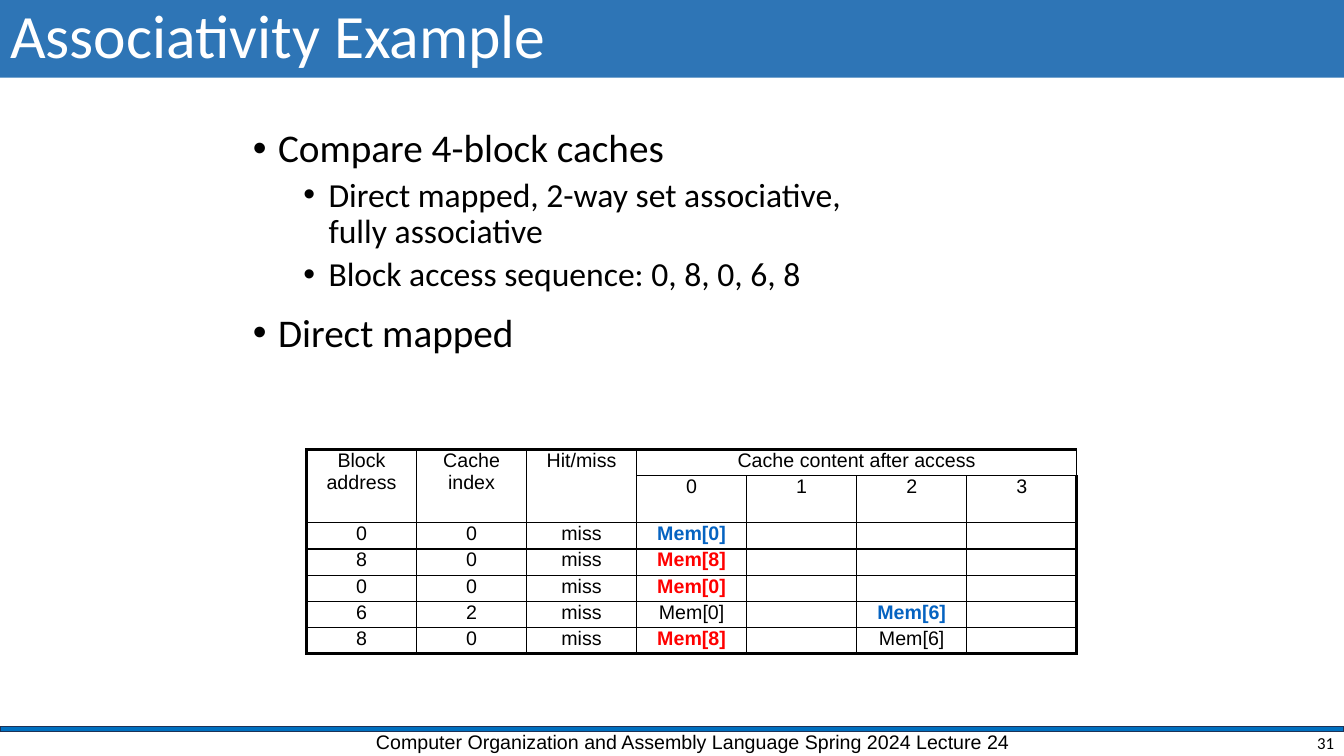
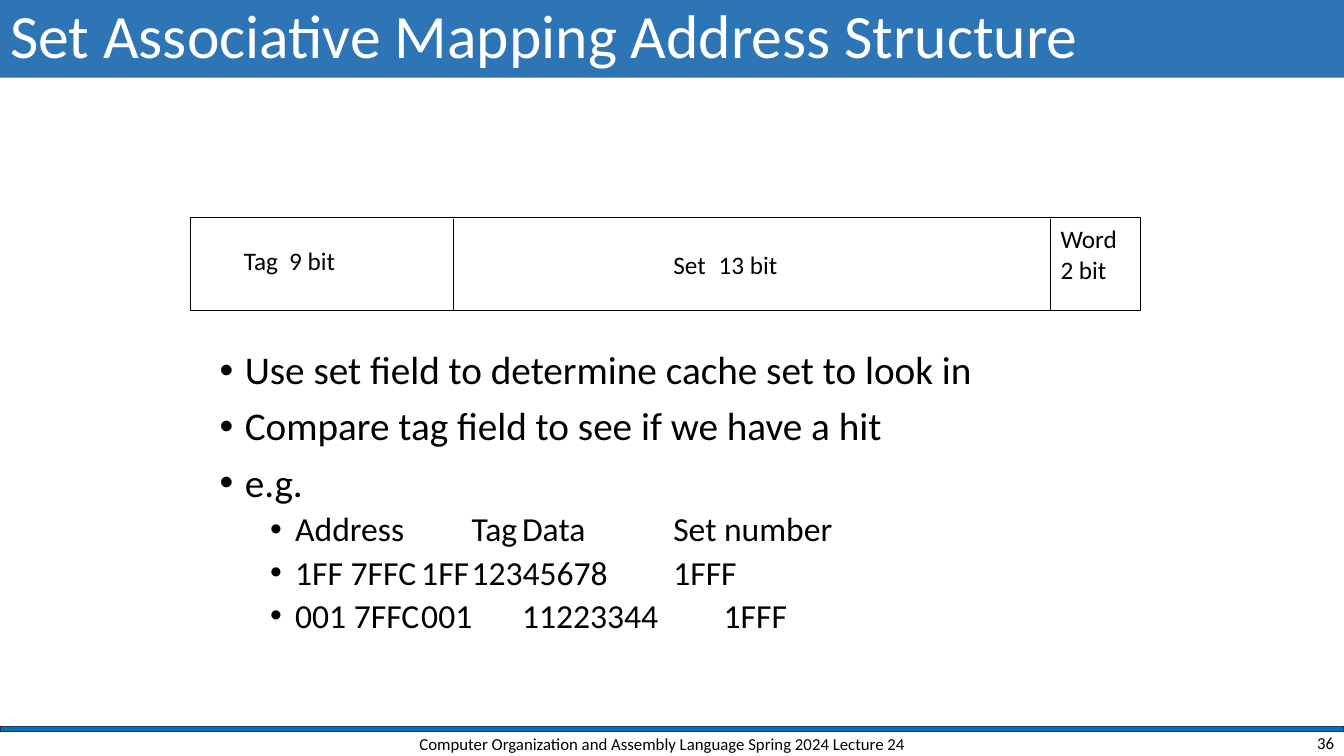
import pptx
import pptx.util
import pptx.dml.color
import pptx.enum.shapes
import pptx.enum.text
import pptx.oxml.ns
from lxml import etree

Inches = pptx.util.Inches
Pt = pptx.util.Pt
RGB = pptx.dml.color.RGBColor
ALIGN = pptx.enum.text.PP_ALIGN
ANCHOR = pptx.enum.text.MSO_ANCHOR
RECT = pptx.enum.shapes.MSO_SHAPE.RECTANGLE
STRAIGHT = pptx.enum.shapes.MSO_CONNECTOR.STRAIGHT

BLACK = RGB(0x00, 0x00, 0x00)
WHITE = RGB(0xFF, 0xFF, 0xFF)
BAND = RGB(0x2E, 0x75, 0xB6)
RULE = RGB(0x00, 0x70, 0xC0)
EDGE = RGB(0x1E, 0x32, 0x56)
BLUE = RGB(0x05, 0x63, 0xC1)
RED = RGB(0xFF, 0x00, 0x00)

WIDE, HIGH = 13.33, 7.5
COURSE = "Computer Organization and Assembly Language Spring 2024 Lecture 24"
LEVELS = [
    {"size": 28, "left": 0.25, "gap": 10},
    {"size": 24, "left": 0.75, "gap": 5},
]

CACHES = [
    (0, "Compare 4-block caches"),
    (1, "Direct mapped, 2-way set associative,\vfully associative"),
    (1, "Block access sequence: 0, 8, 0, 6, 8"),
    (0, "Direct mapped"),
]
HEADS = ["Block address", "Cache index", "Hit/miss"]
SPAN = "Cache content after access"
ROWS = [
    HEADS + [SPAN, "", "", ""],
    ["", "", "", "0", "1", "2", "3"],
    ["0", "0", "miss", "Mem[0]", "", "", ""],
    ["8", "0", "miss", "Mem[8]", "", "", ""],
    ["0", "0", "miss", "Mem[0]", "", "", ""],
    ["6", "2", "miss", "Mem[0]", "", "Mem[6]", ""],
    ["8", "0", "miss", "Mem[8]", "", "Mem[6]", ""],
]
MARKS = {(2, 3): BLUE, (3, 3): RED, (4, 3): RED, (5, 5): BLUE, (6, 3): RED}

LOOKUP = [
    (0, "Use set field to determine cache set to look in"),
    (0, "Compare tag field to see if we have a hit"),
    (0, "e.g."),
    (1, "Address\t\tTag\tData\t\tSet number"),
    (1, "1FF 7FFC\t1FF\t12345678\t\t1FFF"),
    (1, "001 7FFC\t001\t11223344\t\t1FFF"),
]
FIELDS = [
    (2.32, 2.38, 1.4, ["Tag\t9 bit"]),
    (6.58, 2.42, 1.5, ["Set\t13 bit"]),
    (10.42, 2.17, 0.89, ["Word", "2 bit"]),
]
SPLITS = [4.5, 10.42]


def child(node, tag, **attrs):
    return etree.SubElement(node, pptx.oxml.ns.qn(tag), attrs)


def style(para, size, color=BLACK, face="Calibri", bold=False):
    font = para.font
    font.name, font.size, font.bold = face, Pt(size), bold
    font.color.rgb = color


def place(shape, box):
    shape.left, shape.top, shape.width, shape.height = map(Inches, box)


def add_text(slide, box, lines, size, face="Calibri", align=ALIGN.LEFT,
             anchor=ANCHOR.TOP, stop=None):
    frame = slide.shapes.add_textbox(*map(Inches, box)).text_frame
    frame.word_wrap = True
    frame.vertical_anchor = anchor
    for i, line in enumerate(lines):
        para = frame.add_paragraph() if i else frame.paragraphs[0]
        para.text = line
        para.alignment = align
        if stop:
            tabs = child(para._p.get_or_add_pPr(), "a:tabLst")
            child(tabs, "a:tab", pos=str(Inches(stop)), algn="l")
        style(para, size, face=face)


def add_list(slide, box, items, gaps={}):
    frame = slide.shapes.add_textbox(*map(Inches, box)).text_frame
    frame.word_wrap = True
    for i, (depth, text) in enumerate(items):
        level = LEVELS[depth]
        para = frame.add_paragraph() if i else frame.paragraphs[0]
        para.text = text
        para.level = depth
        props = para._p.get_or_add_pPr()
        props.set("marL", str(Inches(level["left"])))
        props.set("indent", str(Inches(-0.25)))
        child(props, "a:buFont", typeface="Arial")
        child(props, "a:buChar", char="•")
        para.line_spacing = 0.9
        para.space_before = Pt(gaps.get(i, level["gap"]) if i else 0)
        style(para, level["size"])


def add_rect(slide, box, fill, line, width):
    shape = slide.shapes.add_shape(RECT, *map(Inches, box))
    shape.shadow.inherit = False
    if fill is None:
        shape.fill.background()
    else:
        shape.fill.solid()
        shape.fill.fore_color.rgb = fill
    shape.line.color.rgb = line
    shape.line.width = Pt(width)


def add_slide(deck, title, number):
    slide = deck.slides.add_slide(deck.slide_layouts[5])
    add_rect(slide, (0, 7.21, WIDE, 0.05), RULE, EDGE, 1)
    head = slide.shapes.title
    place(head, (0, 0, WIDE, 0.77))
    head.fill.solid()
    head.fill.fore_color.rgb = BAND
    frame = head.text_frame
    frame.text = title
    frame.word_wrap = True
    frame.auto_size = pptx.enum.text.MSO_AUTO_SIZE.NONE
    frame.vertical_anchor = ANCHOR.MIDDLE
    para = frame.paragraphs[0]
    para.alignment = ALIGN.LEFT
    para.line_spacing = 0.9
    style(para, 44, WHITE)
    add_text(slide, (10.33, 7.24, 3, 0.25), [str(number)], 12,
             align=ALIGN.RIGHT, anchor=ANCHOR.MIDDLE)
    return slide


def set_edges(cell, row, col, last_row, last_col):
    props = cell._tc.get_or_add_tcPr()
    outer = {"L": col == 0, "R": col == last_col,
             "T": row == 0, "B": row == last_row}
    for side, thick in outer.items():
        line = child(props, "a:ln" + side, w=str(Pt(2.25 if thick else 1)))
        child(child(line, "a:solidFill"), "a:srgbClr", val=str(BLACK))


def add_grid(slide):
    count, cols = len(ROWS), len(ROWS[0])
    box = (3.04, 4.46, 7.64, 0.26 * count)
    table = slide.shapes.add_table(count, cols, *map(Inches, box)).table
    table.first_row = table.horz_banding = False
    for col in table.columns:
        col.width = Inches(7.64 / cols)
    for r, row in enumerate(ROWS):
        table.rows[r].height = Inches(0.26)
        for c, text in enumerate(row):
            cell = table.cell(r, c)
            set_edges(cell, r, c, count - 1, cols - 1)
            cell.fill.background()
            cell.margin_left = cell.margin_right = Inches(0.1)
            cell.margin_top = cell.margin_bottom = 0
            cell.text = text
            para = cell.text_frame.paragraphs[0]
            para.alignment = ALIGN.CENTER
            style(para, 14, MARKS.get((r, c), BLACK), "Arial", (r, c) in MARKS)
            if not text:
                para._p.get_or_add_endParaRPr().set("sz", "1400")
    for c in range(len(HEADS)):
        table.cell(0, c).merge(table.cell(1, c))
    table.cell(0, len(HEADS)).merge(table.cell(0, cols - 1))


def add_split(slide, x):
    line = slide.shapes.add_connector(
        STRAIGHT, *map(Inches, (x, 2.17, x, 3.08)))
    line.line.color.rgb = BLACK
    line.line.width = Pt(0.75)
    child(line._element.spPr, "a:effectLst")


def main():
    deck = pptx.Presentation()
    deck.slide_width, deck.slide_height = Inches(WIDE), Inches(HIGH)

    slide = add_slide(deck, "Associativity Example", 31)
    add_text(slide, (3.63, 7.19, 6.81, 0.31), [COURSE], 14, "Arial")
    add_list(slide, (2.41, 1.23, 9.05, 3.07), CACHES, {3: 14})
    add_grid(slide)

    slide = add_slide(deck, "Set Associative Mapping Address Structure", 36)
    add_text(slide, (3.92, 7.24, 5.3, 0.28), [COURSE], 12,
             align=ALIGN.CENTER, anchor=ANCHOR.MIDDLE)
    add_list(slide, (2.08, 3.43, 9.03, 3.82), LOOKUP)
    add_rect(slide, (1.89, 2.16, 9.42, 0.92), None, BLACK, 0.75)
    for x in SPLITS:
        add_split(slide, x)
    for x, y, width, lines in FIELDS:
        add_text(slide, (x, y, width, 0.3 * len(lines) + 0.1), lines, 18,
                 stop=0.45 if "\t" in lines[0] else None)

    deck.save("out.pptx")


if __name__ == "__main__":
    main()
